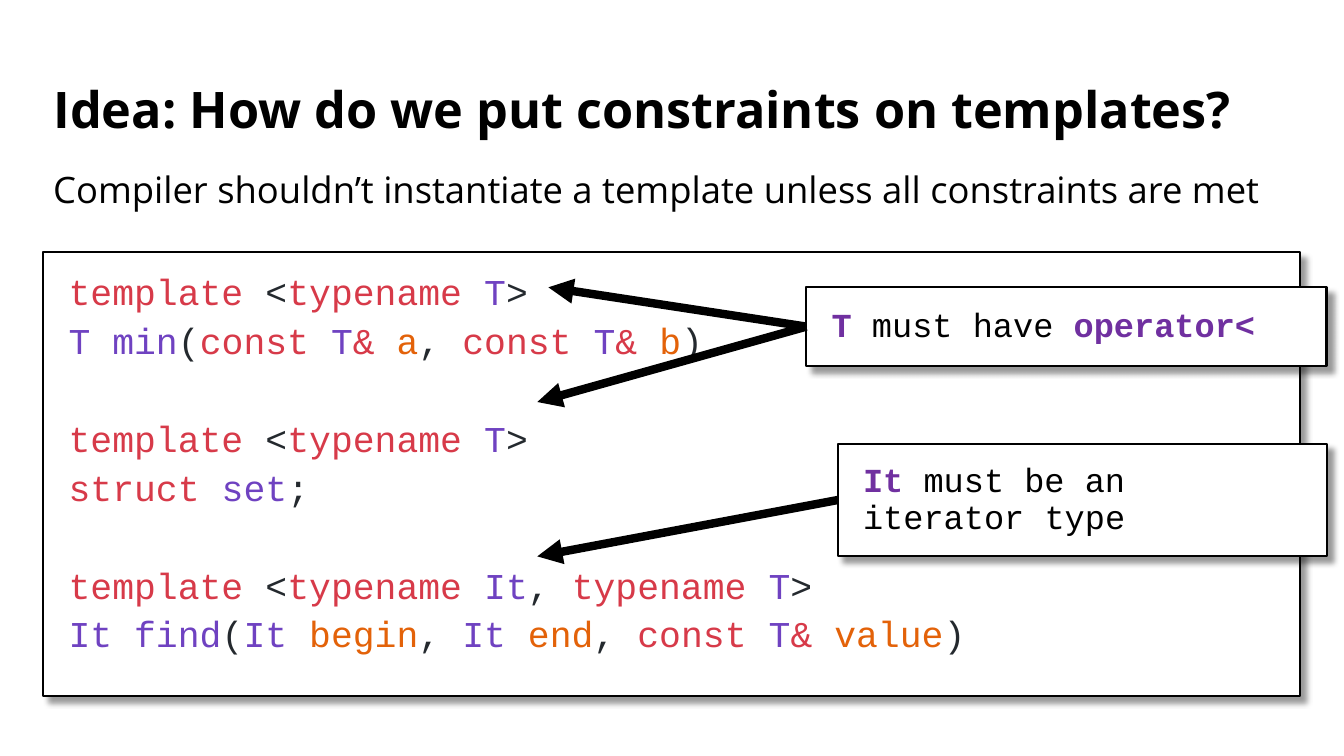
"""Build the slide about putting constraints on templates."""
from dataclasses import dataclass

from lxml.etree import SubElement
from pptx import Presentation
from pptx.dml.color import RGBColor
from pptx.enum.shapes import MSO_CONNECTOR, MSO_SHAPE
from pptx.enum.text import MSO_ANCHOR, MSO_AUTO_SIZE, PP_ALIGN
from pptx.oxml.ns import qn
from pptx.util import Cm, Pt

TITLE = "Idea: How do we put constraints on templates?"
SUBTITLE = "Compiler shouldn’t instantiate a template unless all constraints are met"

TEMPLATE_T = [("keyword", "template"), ("plain", " <"), ("keyword", "typename "),
              ("name", "T"), ("plain", ">")]
CONST_T = [("keyword", "const "), ("name", "T"), ("keyword", "& ")]
DECLARATIONS = [
    [
        TEMPLATE_T,
        [("name", "T min"), ("plain", "("), *CONST_T, ("argument", "a"),
         ("plain", ", "), *CONST_T, ("argument", "b"), ("plain", ")")],
    ],
    [
        TEMPLATE_T,
        [("keyword", "struct "), ("name", "set"), ("plain", ";")],
    ],
    [
        [*TEMPLATE_T[:3], ("name", "It"), ("plain", ", "), *TEMPLATE_T[2:]],
        [("name", "It find"), ("plain", "("), ("name", "It "), ("argument", "begin"),
         ("plain", ", "), ("name", "It "), ("argument", "end"), ("plain", ", "),
         *CONST_T, ("argument", "value"), ("plain", ")")],
    ],
]

CALLOUTS = [
    {
        "box": (20.32, 7.24, 13.11, 1.98),
        "runs": [("emphasis", "T"), ("text", " must have "), ("emphasis", "operator<")],
        "targets": [(13.82, 7.24), (13.54, 10.13)],
    },
    {
        "box": (21.11, 11.18, 12.34, 2.84),
        "runs": [("emphasis", "It"), ("text", " must be an iterator type")],
        "targets": [(13.54, 14.02)],
    },
]

SLIDE_SIZE = (33.87, 19.05)
LEFT, WIDTH = 1.09, 31.67
TITLE_BOX = (LEFT, 1.75, WIDTH, 2.13)
SUBTITLE_BOX = (LEFT, 4.29, WIDTH, 1.19)
CODE_BOX = (LEFT, 6.35, WIDTH, 11.2)
PANEL_INSET = 0.64
LEFT_SIDE = 1


@dataclass(frozen=True)
class Theme:
    """Colours, fonts and type sizes of the slide."""

    text: str = "000000"
    panel: str = "FFFFFF"
    keyword: str = "D73A49"
    name: str = "6F42C1"
    argument: str = "E36209"
    plain: str = "24292E"
    emphasis: str = "7030A0"
    prose_font: str = "Open Sans"
    code_font: str = "Courier New"
    title_size: int = 36
    body_size: int = 26
    callout_size: int = 24
    line_gap: int = 10
    block_gap: int = 45
    border: float = 1.5
    arrow: int = 6

    def color(self, role):
        """Return the colour of a role."""
        return RGBColor.from_string(getattr(self, role))


THEME = Theme()


def lengths(values):
    """Turn centimetres into slide lengths."""
    return [Cm(value) for value in values]


def add_runs(paragraph, runs, font_name, size, spacing):
    """Add coloured runs to a paragraph."""
    paragraph.alignment = PP_ALIGN.LEFT
    paragraph.line_spacing = spacing
    paragraph.space_before = Pt(0)
    for role, text in runs:
        run = paragraph.add_run()
        run.text = text
        run.font.name = font_name
        run.font.size = Pt(size)
        run.font.bold = role in ("emphasis", "title")
        run.font.color.rgb = THEME.color("text" if role == "title" else role)


def add_panel(slide, box, anchor):
    """Add a white bordered rectangle with a soft shadow."""
    panel = slide.shapes.add_shape(MSO_SHAPE.RECTANGLE, *lengths(box))
    panel.fill.solid()
    panel.fill.fore_color.rgb = THEME.color("panel")
    panel.line.color.rgb = THEME.color("text")
    panel.line.width = Pt(THEME.border)
    panel.shadow.inherit = False
    effects = panel.element.spPr.find(qn("a:effectLst"))
    shadow = SubElement(effects, qn("a:outerShdw"), blurRad=str(Pt(4)),
                        dist=str(Pt(6)), dir="2700000", algn="tl", rotWithShape="0")
    color = SubElement(shadow, qn("a:srgbClr"), val=THEME.text)
    SubElement(color, qn("a:alpha"), val="40000")
    frame = panel.text_frame
    frame.word_wrap = True
    frame.vertical_anchor = anchor
    frame.margin_left = frame.margin_right = Cm(PANEL_INSET)
    frame.margin_top = frame.margin_bottom = Cm(PANEL_INSET)
    return panel


def add_arrow(slide, callout, target):
    """Draw an arrow from the left side of a callout to a target."""
    end = lengths(target)
    arrow = slide.shapes.add_connector(MSO_CONNECTOR.STRAIGHT, callout.left, callout.top, *end)
    arrow.begin_connect(callout, LEFT_SIDE)
    arrow.line.color.rgb = THEME.color("text")
    arrow.line.width = Pt(THEME.arrow)
    properties = arrow.element.spPr
    SubElement(properties.find(qn("a:ln")), qn("a:tailEnd"), type="triangle")
    SubElement(properties, qn("a:effectLst"))


def add_headings(slide):
    """Fill the title and add the line below it."""
    title = slide.shapes.title
    title.left, title.top, title.width, title.height = lengths(TITLE_BOX)
    title.text_frame.auto_size = MSO_AUTO_SIZE.NONE
    title.text_frame.vertical_anchor = MSO_ANCHOR.MIDDLE
    add_runs(title.text_frame.paragraphs[0], [("title", TITLE)],
             THEME.prose_font, THEME.title_size, 0.9)
    subtitle = slide.shapes.add_textbox(*lengths(SUBTITLE_BOX))
    subtitle.text_frame.word_wrap = True
    add_runs(subtitle.text_frame.paragraphs[0], [("text", SUBTITLE)],
             THEME.prose_font, THEME.body_size, 0.8)


def add_code(slide):
    """Add the code panel with a wider gap between declarations."""
    frame = add_panel(slide, CODE_BOX, MSO_ANCHOR.TOP).text_frame
    for block_index, block in enumerate(DECLARATIONS):
        for line_index, runs in enumerate(block):
            first = block_index == line_index == 0
            paragraph = frame.paragraphs[0] if first else frame.add_paragraph()
            add_runs(paragraph, runs, THEME.code_font, THEME.body_size, 0.8)
            if not first:
                gap = THEME.line_gap if line_index else THEME.block_gap
                paragraph.space_before = Pt(gap)


def main():
    """Build and save the presentation."""
    presentation = Presentation()
    presentation.slide_width, presentation.slide_height = lengths(SLIDE_SIZE)
    slide = presentation.slides.add_slide(presentation.slide_layouts.get_by_name("Title Only"))
    add_headings(slide)
    add_code(slide)
    for content in CALLOUTS:
        callout = add_panel(slide, content["box"], MSO_ANCHOR.MIDDLE)
        add_runs(callout.text_frame.paragraphs[0], content["runs"],
                 THEME.code_font, THEME.callout_size, 0.9)
        for target in content["targets"]:
            add_arrow(slide, callout, target)
    presentation.save("out.pptx")


if __name__ == "__main__":
    main()
